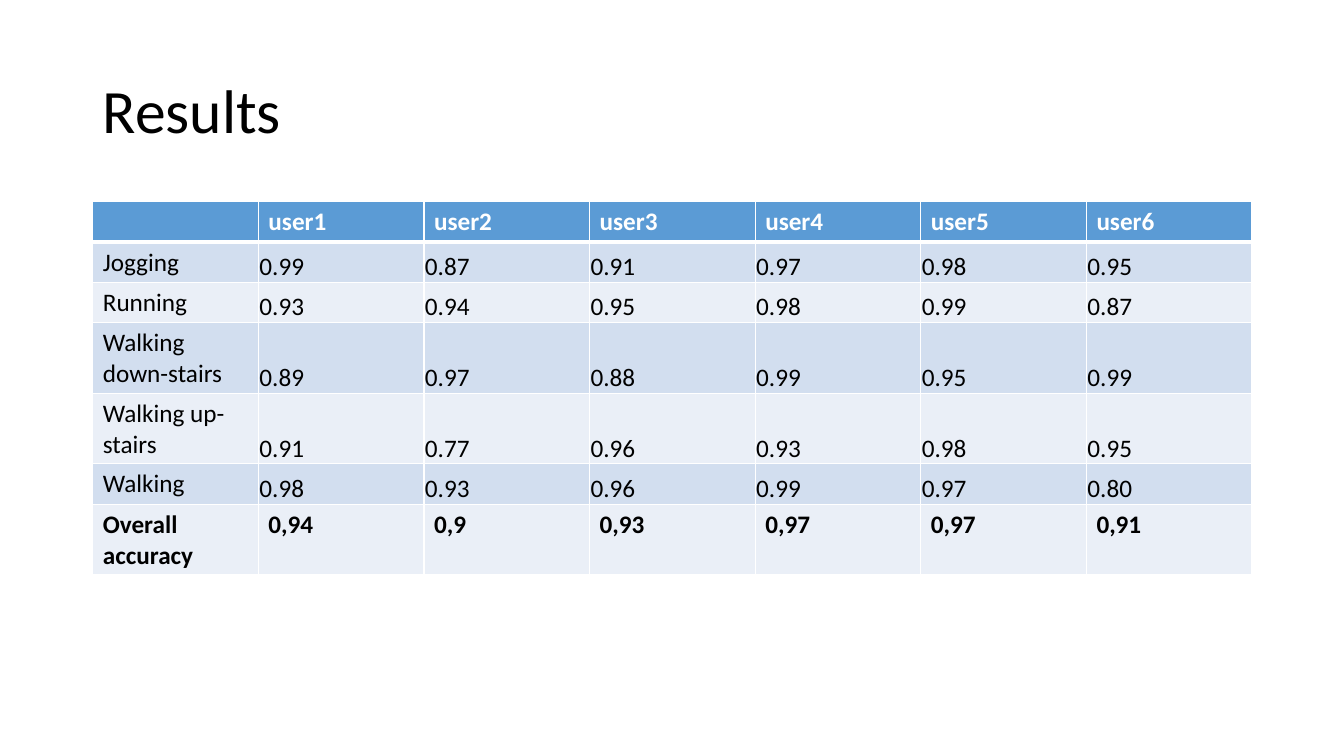
from lxml.etree import SubElement
from pptx import Presentation
from pptx.dml.color import RGBColor
from pptx.enum.text import MSO_ANCHOR
from pptx.oxml.ns import qn
from pptx.util import Inches, Pt

FONT = "Calibri"
BLACK = RGBColor(0x00, 0x00, 0x00)
WHITE = RGBColor(0xFF, 0xFF, 0xFF)
HEADER_BLUE = RGBColor(0x5B, 0x9B, 0xD5)
BANDS = (RGBColor(0xEA, 0xEF, 0xF7), RGBColor(0xD2, 0xDE, 0xEF))

RESULTS = [
    ["", "user1", "user2", "user3", "user4", "user5", "user6"],
    ["Jogging", "0.99", "0.87", "0.91", "0.97", "0.98", "0.95"],
    ["Running", "0.93", "0.94", "0.95", "0.98", "0.99", "0.87"],
    ["Walking down-stairs", "0.89", "0.97", "0.88", "0.99", "0.95", "0.99"],
    ["Walking up-stairs", "0.91", "0.77", "0.96", "0.93", "0.98", "0.95"],
    ["Walking", "0.98", "0.93", "0.96", "0.99", "0.97", "0.80"],
    ["Overall accuracy", "0,94", "0,9", "0,93", "0,97", "0,97", "0,91"],
]
ONE_LINE, TWO_LINES = 0.4, 0.7


def add_run(paragraph, text, size, color, bold=False):
    """Append one formatted run to a paragraph."""
    run = paragraph.add_run()
    run.text = text
    run.font.name = FONT
    run.font.size = Pt(size)
    run.font.bold = bold
    run.font.color.rgb = color


def set_borders(cell, bottom_width):
    """Draw white cell borders, 1 point wide except at the bottom."""
    properties = cell._tc.get_or_add_tcPr()
    widths = {"a:lnL": 1, "a:lnR": 1, "a:lnT": 1, "a:lnB": bottom_width}
    for side, width in widths.items():
        line = SubElement(properties, qn(side), w=str(Pt(width)))
        fill = SubElement(line, qn("a:solidFill"))
        SubElement(fill, qn("a:srgbClr"), val=str(WHITE))


def add_title(slide, box, text):
    """Place the slide title, centred vertically in its box."""
    frame = slide.shapes.add_textbox(*map(Inches, box)).text_frame
    frame.word_wrap = True
    frame.vertical_anchor = MSO_ANCHOR.MIDDLE
    paragraph = frame.paragraphs[0]
    paragraph.line_spacing = 0.9
    add_run(paragraph, text, 44, BLACK)


def style_cell(cell, text, is_header, is_total, is_score, band):
    """Fill one cell according to its role in the results table."""
    set_borders(cell, 3 if is_header else 1)
    cell.fill.solid()
    cell.fill.fore_color.rgb = HEADER_BLUE if is_header else band
    if is_score:
        cell.vertical_anchor = MSO_ANCHOR.BOTTOM
        cell.margin_left = cell.margin_right = cell.margin_top = Inches(0.01)
        cell.margin_bottom = 0
    if text:
        add_run(cell.text_frame.paragraphs[0], text, 18,
                WHITE if is_header else BLACK, is_header or is_total)


def add_results_table(slide, box, rows):
    """Place the accuracy table with equal columns across its box."""
    table = slide.shapes.add_table(
        len(rows), len(rows[0]), *map(Inches, box)).table
    for column in table.columns:
        column.width = Inches(box[2] / len(rows[0]))
    last = len(rows) - 1
    for row_index, values in enumerate(rows):
        height = TWO_LINES if " " in values[0] else ONE_LINE
        table.rows[row_index].height = Inches(height)
        for column_index, text in enumerate(values):
            is_score = 0 < row_index < last and column_index > 0
            style_cell(table.cell(row_index, column_index), text,
                       row_index == 0, row_index == last, is_score,
                       BANDS[row_index % 2])


presentation = Presentation()
presentation.slide_width = Inches(13.33)
presentation.slide_height = Inches(7.5)
slide = presentation.slides.add_slide(presentation.slide_layouts[6])
add_title(slide, (0.92, 0.4, 11.5, 1.45), "Results")
add_results_table(slide, (0.92, 2, 11.5, 3.72), RESULTS)
presentation.save("out.pptx")
